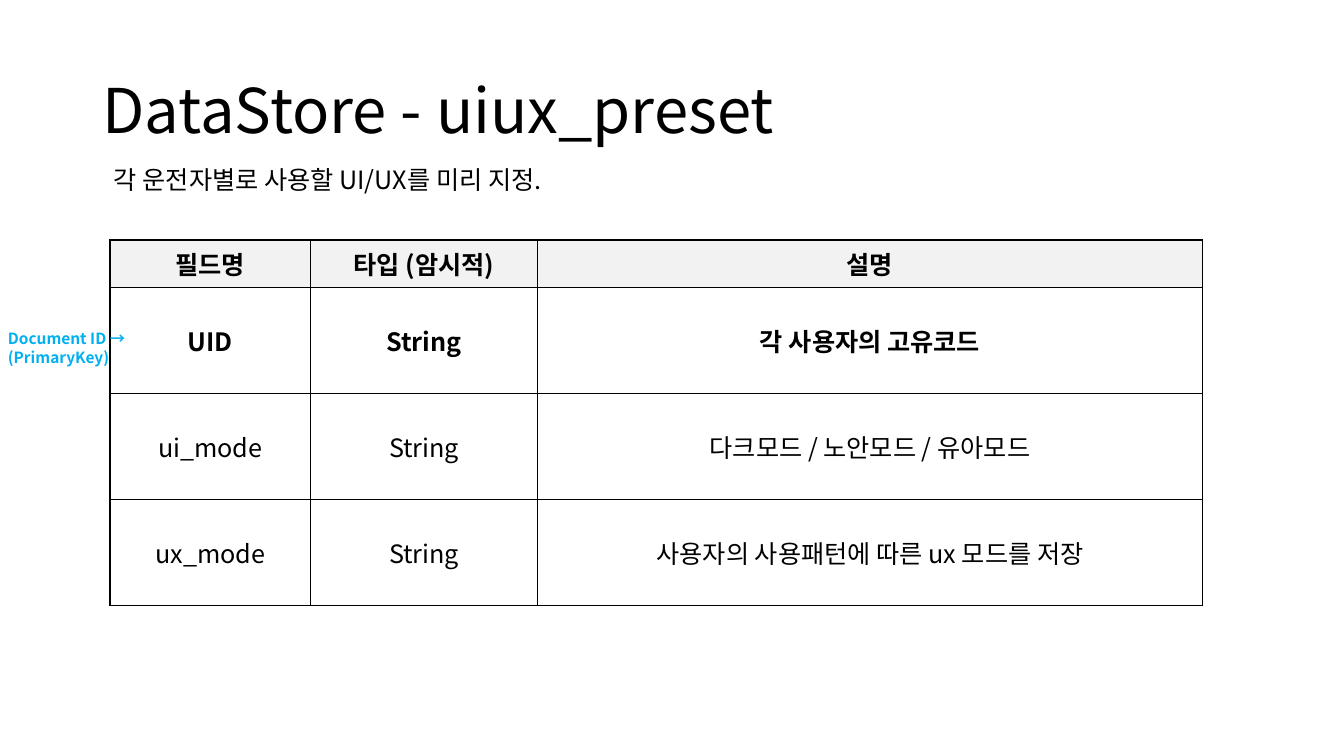
"""Build the uiux_preset field table slide."""
from pptx import Presentation
from pptx.dml.color import RGBColor
from pptx.enum import text as t
from pptx.oxml import parse_xml
from pptx.oxml.ns import nsdecls
from pptx.util import Cm, Pt

FACE = "Noto Sans CJK KR"
BLACK = RGBColor(0x00, 0x00, 0x00)
BLUE = RGBColor(0x00, 0xB0, 0xF0)
GRAY = RGBColor(0xF2, 0xF2, 0xF2)
MID = t.MSO_ANCHOR.MIDDLE
TOP = t.MSO_ANCHOR.TOP

ROWS = [
    ("필드명", "타입 (암시적)", "설명"),
    ("UID", "String", "각 사용자의 고유코드"),
    ("ui_mode", "String", "다크모드 / 노안모드 / 유아모드"),
    ("ux_mode", "String", "사용자의 사용패턴에 따른 ux 모드를 저장"),
]
WIDE = (5.06, 5.72, 16.75)
HIGH = (1.19, 2.67, 2.67, 2.67)
BOLD = 2

TEXTS = [
    (["DataStore - uiux_preset"], (2.33, 1.02, 29.21, 3.68), MID, True, 0.9,
     dict(size=Pt(44), bold=False), BLACK),
    (["각 운전자별로 사용할 UI/UX를 미리 지정."], (2.62, 4.01, 12.47, 1.02), TOP, False, 1.0,
     dict(size=Pt(18), bold=False), BLACK),
    (["Document ID →", "(PrimaryKey)"], (-0.05, 8.18, 3.53, 1.19), TOP, False, 1.0,
     dict(size=Pt(11), bold=True), BLUE),
]


def write(para, words, form, color):
    run = para.add_run()
    run.text = words
    for key, val in form.items():
        setattr(run.font, key, val)
    run.font.color.rgb = color
    run.font.name = FACE
    run.font._element.append(
        parse_xml(f'<a:ea {nsdecls("a")} typeface="{FACE}"/>'))


def border(cell):
    props = cell._tc.get_or_add_tcPr()
    for at, side in enumerate(("lnL", "lnR", "lnT", "lnB")):
        props.insert(at, parse_xml(
            f'<a:{side} {nsdecls("a")} w="{Pt(1)}"><a:solidFill>'
            f'<a:srgbClr val="{BLACK}"/></a:solidFill></a:{side}>'))


def add_text(slide, lines, place, anchor, wrap, space, form, color):
    frame = slide.shapes.add_textbox(*map(Cm, place)).text_frame
    frame.word_wrap = wrap
    frame.vertical_anchor = anchor
    for num, line in enumerate(lines):
        para = frame.add_paragraph() if num else frame.paragraphs[0]
        para.line_spacing = space
        write(para, line, form, color)


def add_grid(slide):
    place = (2.77, 6.05, sum(WIDE), sum(HIGH))
    grid = slide.shapes.add_table(len(ROWS), len(WIDE), *map(Cm, place)).table
    grid.horz_banding = False
    for col, wide in zip(grid.columns, WIDE):
        col.width = Cm(wide)
    for r, (row, high) in enumerate(zip(ROWS, HIGH)):
        grid.rows[r].height = Cm(high)
        for c, words in enumerate(row):
            cell = grid.cell(r, c)
            cell.vertical_anchor = MID
            if r:
                cell.fill.background()
            else:
                cell.fill.solid()
                cell.fill.fore_color.rgb = GRAY
            border(cell)
            para = cell.text_frame.paragraphs[0]
            para.alignment = t.PP_ALIGN.CENTER
            write(para, words, dict(size=Pt(18), bold=r < BOLD), BLACK)


deck = Presentation()
deck.slide_width, deck.slide_height = Cm(33.87), Cm(19.05)
page = deck.slides.add_slide(deck.slide_layouts[6])
add_grid(page)
for item in TEXTS:
    add_text(page, *item)
deck.save("out.pptx")
